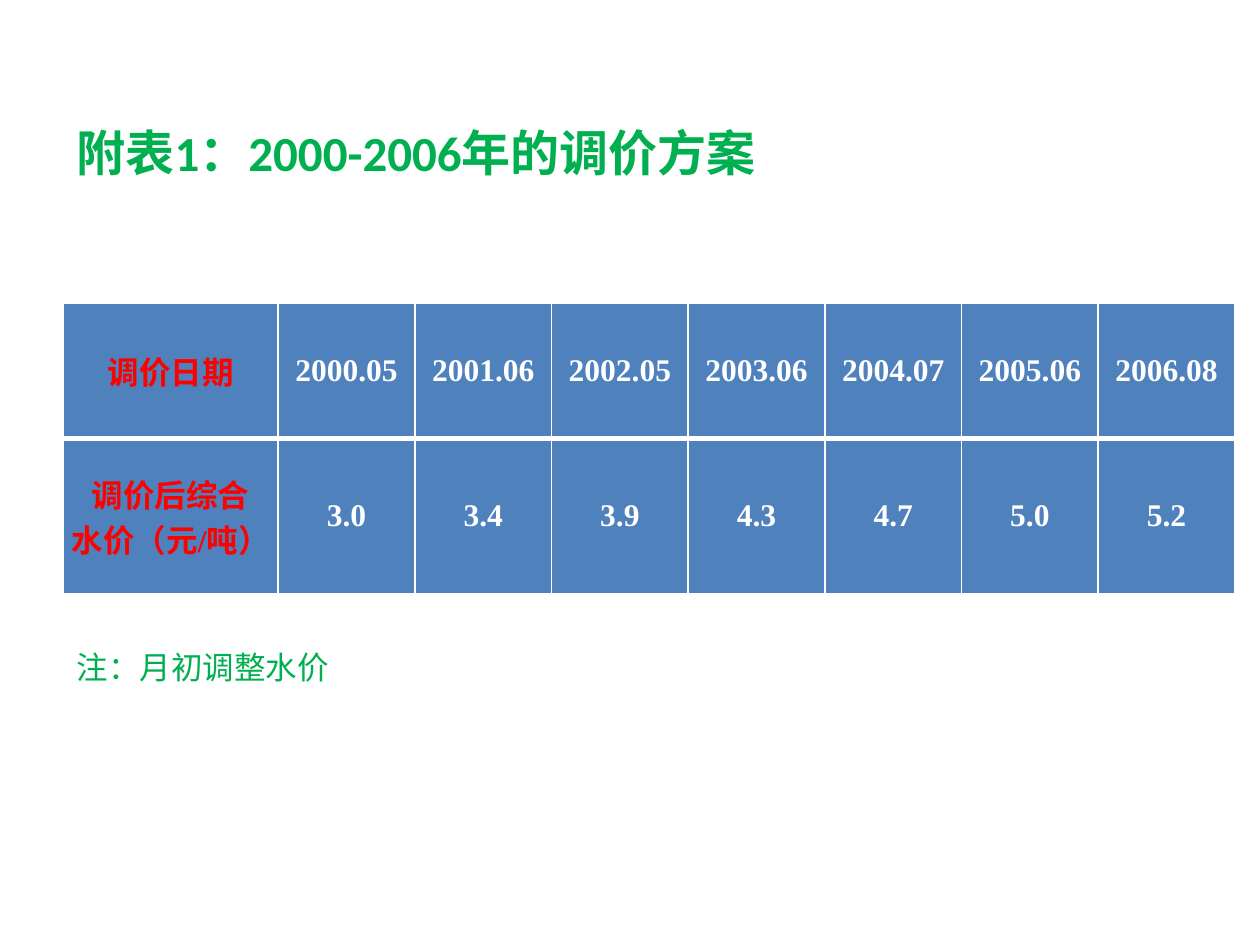
from lxml.etree import SubElement as Sub
from pptx import Presentation
from pptx.dml.color import RGBColor as Rgb
from pptx.enum.text import MSO_ANCHOR as Anchor, MSO_AUTO_SIZE as Auto, PP_ALIGN as Align
from pptx.oxml.ns import qn
from pptx.util import Pt

TITLE = "附表1：2000-2006年的调价方案"
NOTE = "注：月初调整水价"
ROWS = [
    ("调价日期", "2000.05", "2001.06", "2002.05", "2003.06", "2004.07", "2005.06", "2006.08"),
    ("调价后综合\n水价（元/吨）", "3.0", "3.4", "3.9", "4.3", "4.7", "5.0", "5.2"),
]
HUES = {"green": "00B050", "red": "FF0000", "white": "FFFFFF", "blue": "4F81BD"}
LEFT, TOP = 36, 173.5
WIDE, SLIM = 123, 78.1
HIGH = (77, 89)


def write(frame, text, size=18, font="Calibri", hue="green", bold=False, align=Align.LEFT):
    frame.word_wrap = True
    for i, line in enumerate(text.split("\n")):
        para = frame.add_paragraph() if i else frame.paragraphs[0]
        para.alignment = align
        run = para.add_run()
        run.text = line
        run.font.size = Pt(size)
        run.font.name = font
        run.font.bold = bold
        run.font.color.rgb = Rgb.from_string(HUES[hue])


def edge(cell, sides):
    props = cell._tc.get_or_add_tcPr()
    for side, width in sides.items():
        line = Sub(props, qn("a:ln" + side), w=str(Pt(width)))
        Sub(Sub(line, qn("a:solidFill")), qn("a:srgbClr"), val=HUES["white"])


deck = Presentation()
deck.slide_width, deck.slide_height = Pt(720), Pt(540)
slide = deck.slides.add_slide(deck.slide_layouts[5])

title = slide.shapes.title
title.left, title.top, title.width, title.height = Pt(36.7), Pt(66.2), Pt(408), Pt(41)
title.text_frame.auto_size = Auto.NONE
title.text_frame.vertical_anchor = Anchor.TOP
write(title.text_frame, TITLE, size=28, bold=True)

count = len(ROWS[0])
span = WIDE + SLIM * (count - 1)
grid = slide.shapes.add_table(
    len(ROWS), count, Pt(LEFT), Pt(TOP), Pt(span), Pt(sum(HIGH))).table
for c, col in enumerate(grid.columns):
    col.width = Pt(SLIM if c else WIDE)
for r, (row, high) in enumerate(zip(ROWS, HIGH)):
    grid.rows[r].height = Pt(high)
    for c, text in enumerate(row):
        cell = grid.cell(r, c)
        cell.margin_left = cell.margin_right = Pt(5)
        cell.margin_top = cell.margin_bottom = 0
        cell.vertical_anchor = Anchor.MIDDLE
        edge(cell, {"L": 1, "R": 1, "T": 3 if r else 1, "B": 1 if r else 3})
        cell.fill.solid()
        cell.fill.fore_color.rgb = Rgb.from_string(HUES["blue"])
        write(cell.text_frame, text, font="Times New Roman",
              hue="white" if c else "red", bold=True, align=Align.CENTER)

note = slide.shapes.add_textbox(Pt(36.7), Pt(366.5), Pt(160), Pt(29))
write(note.text_frame, NOTE)

deck.save("out.pptx")
